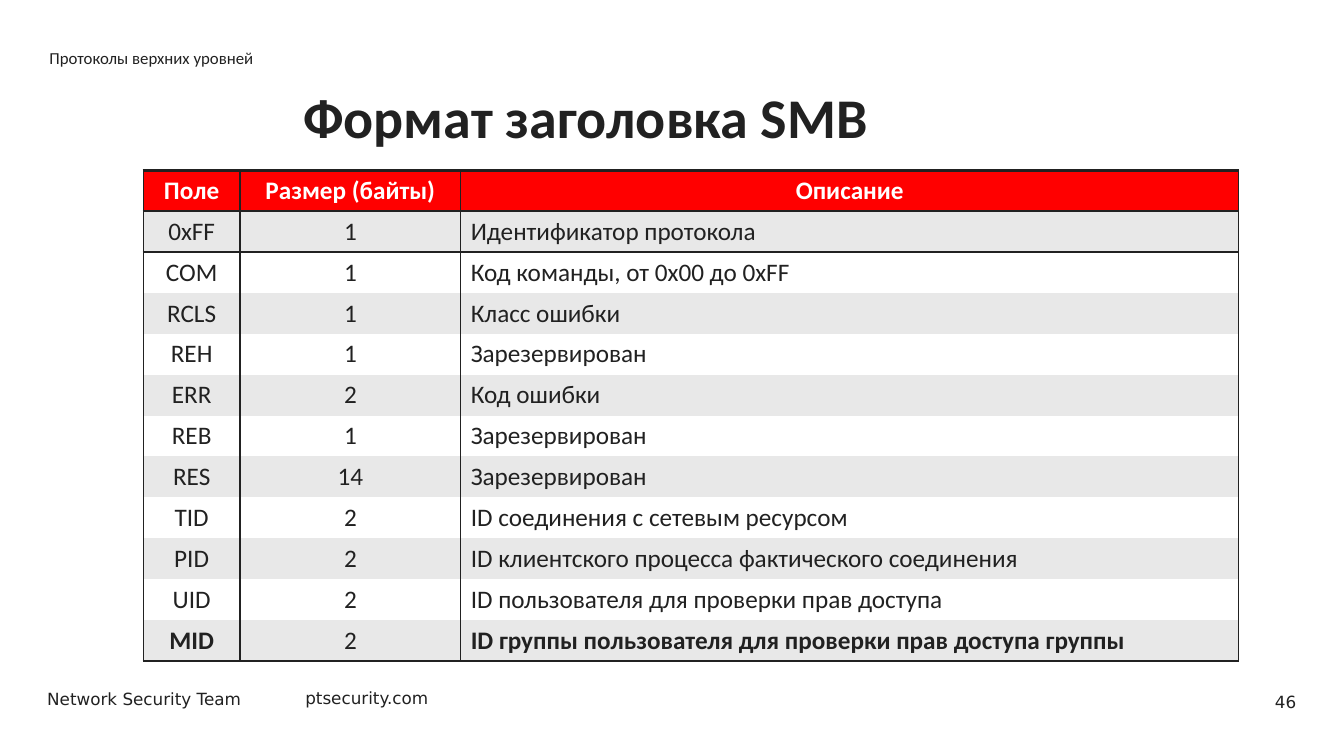
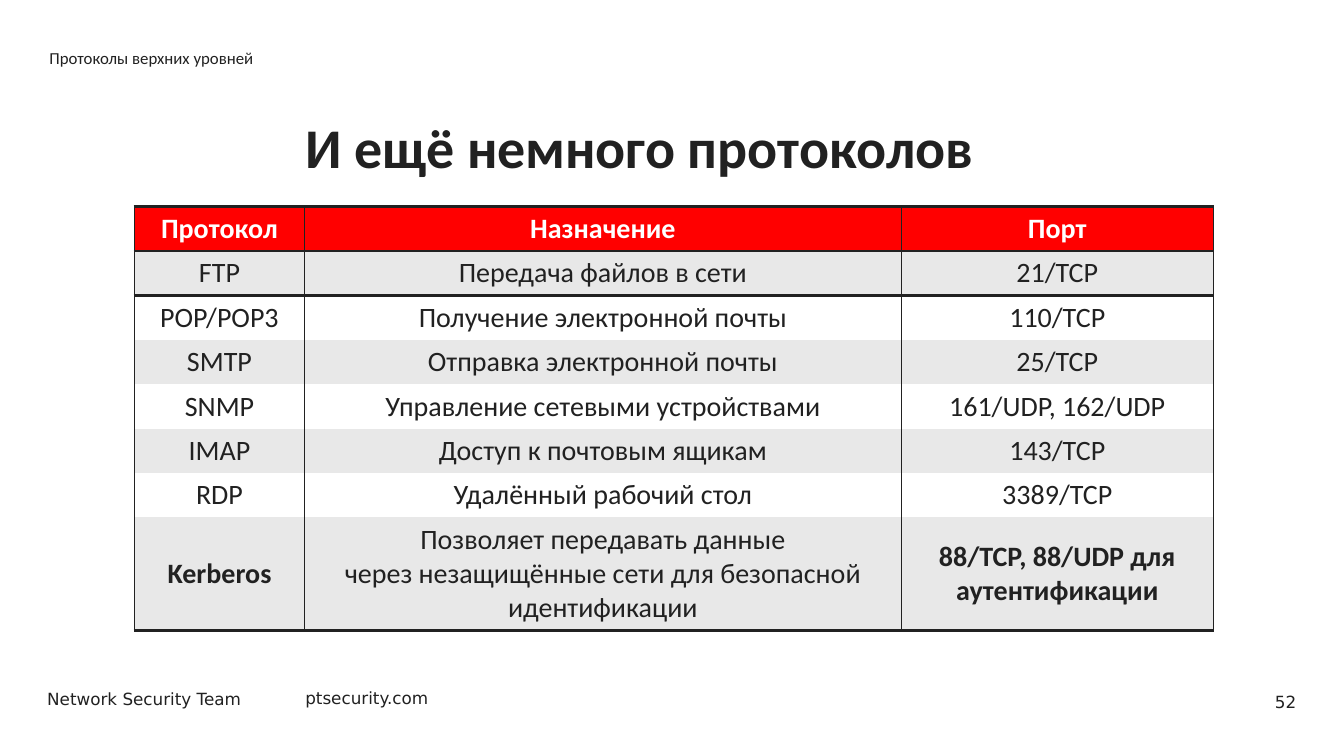
from dataclasses import dataclass

import lxml.etree
import pptx
import pptx.dml.color
import pptx.enum.text
import pptx.oxml.ns
import pptx.util

Pt = pptx.util.Pt
Align = pptx.enum.text.PP_ALIGN
Anchor = pptx.enum.text.MSO_ANCHOR
AutoSize = pptx.enum.text.MSO_AUTO_SIZE
qn = pptx.oxml.ns.qn

COLORS = {"ink": "212121", "header": "FF0000", "band": "E8E8E8", "paper": "FFFFFF"}
HEADING_FONT = "Calibri"
FOOTER_FONT = "DejaVu Sans"
SECTION = "Протоколы верхних уровней"
PLAIN_TABLE_STYLE = "{2D5ABB26-0587-4C30-8999-92F81FD0307C}"
ROW_HEIGHT = 29.2
EMPHASIZED_COLUMNS = (0, 2)


@dataclass(frozen=True)
class Box:
    left: float
    top: float
    width: float
    height: float


@dataclass(frozen=True)
class FooterItem:
    text: str
    box: Box


@dataclass(frozen=True)
class ProtocolSlide:
    number: int
    title: str
    title_left: float
    title_top: float
    table_left: float
    table_top: float
    text_size: int
    column_widths: tuple[float, ...]
    alignments: tuple
    rows: tuple[tuple[str, ...], ...]


FOOTER = (
    FooterItem("Network Security Team", Box(26.6, 488.2, 142.6, 21.6)),
    FooterItem("ptsecurity.com", Box(211, 487.6, 103.7, 21.6)),
)
SECTION_BOX = Box(28.1, 26.6, 743.8, 28.8)
NUMBER_BOX = Box(771.8, 486.7, 161.3, 28.8)

SLIDES = (
    ProtocolSlide(
        46, "Формат заголовка SMB", 209.5, 55.4, 102.3, 121.7, 18,
        (69.2, 157.6, 555.8), (Align.CENTER, Align.CENTER, Align.LEFT),
        (
            ("Поле", "Размер (байты)", "Описание"),
            ("0xFF", "1", "Идентификатор протокола"),
            ("COM", "1", "Код команды, от 0х00 до 0xFF"),
            ("RCLS", "1", "Класс ошибки"),
            ("REH", "1", "Зарезервирован"),
            ("ERR", "2", "Код ошибки"),
            ("REB", "1", "Зарезервирован"),
            ("RES", "14", "Зарезервирован"),
            ("TID", "2", "ID соединения с сетевым ресурсом"),
            ("PID", "2", "ID клиентского процесса фактического соединения"),
            ("UID", "2", "ID пользователя для проверки прав доступа"),
            ("MID", "2", "ID группы пользователя для проверки прав доступа группы"),
        ),
    ),
    ProtocolSlide(
        52, "И ещё немного протоколов", 211, 77, 95.9, 147.6, 20,
        (121.8, 426, 223.2), (Align.CENTER,) * 3,
        (
            ("Протокол", "Назначение", "Порт"),
            ("FTP", "Передача файлов в сети", "21/TCP"),
            ("POP/POP3", "Получение электронной почты", "110/TCP"),
            ("SMTP", "Отправка электронной почты", "25/TCP"),
            ("SNMP", "Управление сетевыми устройствами", "161/UDP, 162/UDP"),
            ("IMAP", "Доступ к почтовым ящикам", "143/TCP"),
            ("RDP", "Удалённый рабочий стол", "3389/TCP"),
            (
                "Kerberos",
                "Позволяет передавать данные\v"
                "через незащищённые сети для безопасной идентификации",
                "88/TCP, 88/UDP для аутентификации",
            ),
        ),
    ),
)


def rgb(color: str) -> pptx.dml.color.RGBColor:
    return pptx.dml.color.RGBColor.from_string(COLORS[color])


def write(frame, text: str, *, size: float = 12, font: str = HEADING_FONT,
          color: str = "ink", bold: bool = False, align=Align.LEFT,
          line_spacing: float | None = None, space_after: float = 0) -> None:
    paragraph = frame.paragraphs[0]
    paragraph.text = text
    paragraph.alignment = align
    paragraph.space_before = Pt(0)
    paragraph.space_after = Pt(space_after)
    if line_spacing is not None:
        paragraph.line_spacing = Pt(line_spacing)
    for run in paragraph.runs:
        run.font.name = font
        run.font.size = Pt(size)
        run.font.bold = bold
        run.font.color.rgb = rgb(color)


def place(shape, box: Box, anchor, wrap: bool = True) -> None:
    shape.left, shape.top = Pt(box.left), Pt(box.top)
    shape.width, shape.height = Pt(box.width), Pt(box.height)
    shape.text_frame.word_wrap = wrap
    shape.text_frame.auto_size = AutoSize.NONE
    shape.text_frame.vertical_anchor = anchor


def add_label(slide, text: str, box: Box, *, anchor=Anchor.TOP,
              wrap: bool = False, align=Align.LEFT) -> None:
    label = slide.shapes.add_textbox(0, 0, 0, 0)
    place(label, box, anchor, wrap)
    write(label.text_frame, text, font=FOOTER_FONT, align=align)


def add_headings(slide, content: ProtocolSlide) -> None:
    title = slide.shapes.title
    place(title, Box(content.title_left, content.title_top, 714.2, 86.4), Anchor.TOP)
    write(title.text_frame, content.title, size=40, bold=True, line_spacing=48)

    section = slide.placeholders[1]
    place(section, SECTION_BOX, Anchor.MIDDLE)
    properties = section.text_frame.paragraphs[0]._p.get_or_add_pPr()
    properties.set("marL", "0")
    properties.set("indent", "0")
    lxml.etree.SubElement(properties, qn("a:buNone"))
    write(section.text_frame, SECTION, space_after=12)


def add_border(cell, side: str, width: float) -> None:
    properties = cell._tc.get_or_add_tcPr()
    line = lxml.etree.SubElement(properties, qn(f"a:ln{side}"), w=str(Pt(width)))
    fill = lxml.etree.SubElement(line, qn("a:solidFill"))
    lxml.etree.SubElement(fill, qn("a:srgbClr"), val=COLORS["ink"])


def add_protocol_table(slide, content: ProtocolSlide) -> None:
    row_count = len(content.rows)
    frame = slide.shapes.add_table(
        row_count, len(content.column_widths),
        Pt(content.table_left), Pt(content.table_top),
        Pt(sum(content.column_widths)), Pt(ROW_HEIGHT * row_count),
    )
    table = frame.table
    next(frame.element.iter(qn("a:tableStyleId"))).text = PLAIN_TABLE_STYLE
    for column, width in zip(table.columns, content.column_widths):
        column.width = Pt(width)
    for row_index, texts in enumerate(content.rows):
        table.rows[row_index].height = Pt(ROW_HEIGHT)
        is_header = row_index == 0
        is_last = row_index == row_count - 1
        background = "header" if is_header else "band" if row_index % 2 else "paper"
        for column_index, text in enumerate(texts):
            cell = table.cell(row_index, column_index)
            cell.vertical_anchor = Anchor.MIDDLE
            add_border(cell, "L", 1)
            add_border(cell, "R", 1)
            if row_index <= 1:
                add_border(cell, "T", 2)
            if is_header or is_last:
                add_border(cell, "B", 2)
            cell.fill.solid()
            cell.fill.fore_color.rgb = rgb(background)
            write(
                cell.text_frame, text, size=content.text_size,
                color="paper" if is_header else "ink",
                bold=is_header or (is_last and column_index in EMPHASIZED_COLUMNS),
                align=Align.CENTER if is_header else content.alignments[column_index],
            )


def add_protocol_slide(deck, content: ProtocolSlide) -> None:
    slide = deck.slides.add_slide(deck.slide_layouts[1])
    add_headings(slide, content)
    for item in FOOTER:
        add_label(slide, item.text, item.box)
    add_label(slide, str(content.number), NUMBER_BOX, anchor=Anchor.MIDDLE,
              wrap=True, align=Align.RIGHT)
    add_protocol_table(slide, content)


def main() -> None:
    deck = pptx.Presentation()
    deck.slide_width, deck.slide_height = Pt(960), Pt(540)
    for content in SLIDES:
        add_protocol_slide(deck, content)
    deck.save("out.pptx")


if __name__ == "__main__":
    main()
